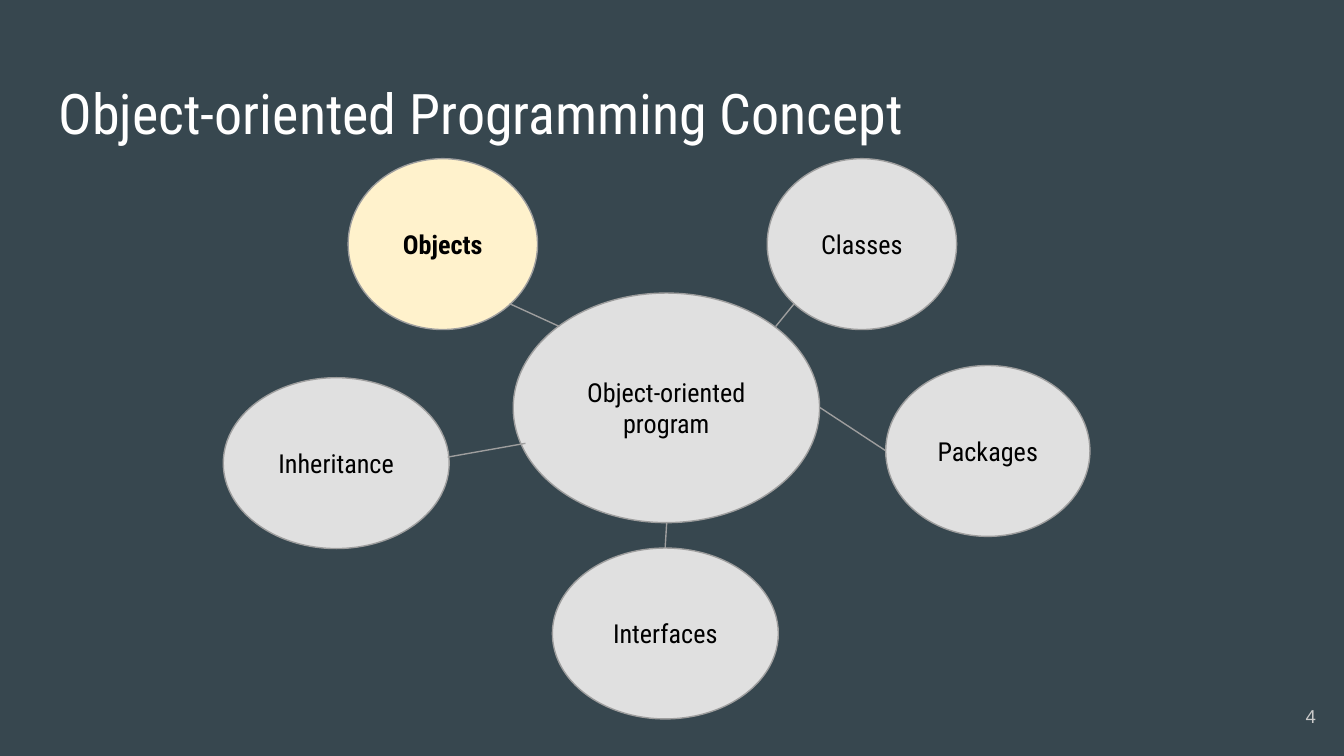
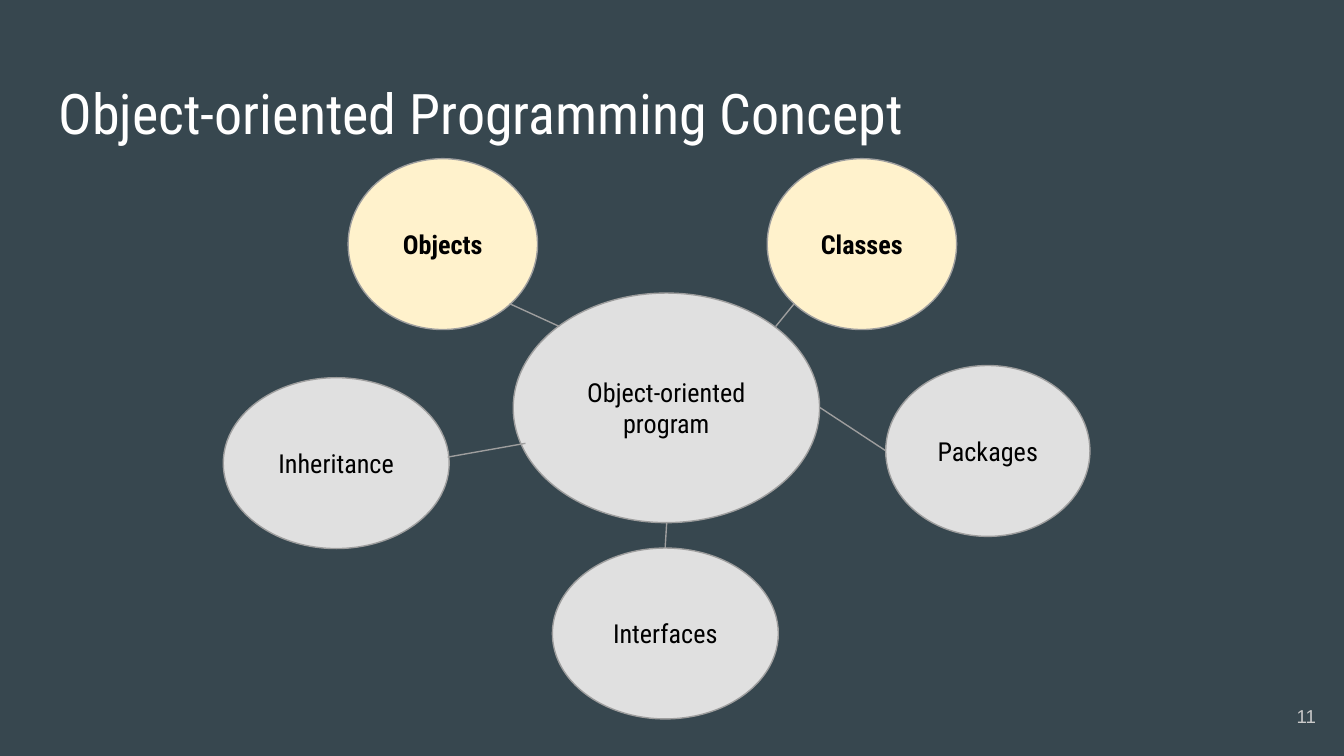
"""Build the object-oriented programming concept maps."""
import pptx
import pptx.dml.color
import pptx.enum.shapes
import pptx.enum.text
import pptx.oxml.ns
import pptx.util
from lxml import etree

Cm, Pt = pptx.util.Cm, pptx.util.Pt
ALIGN = pptx.enum.text.PP_ALIGN
ANCHOR = pptx.enum.text.MSO_ANCHOR

FONT = "Roboto Condensed"
BACKGROUND, WHITE, BLACK = "37474F", "FFFFFF", "000000"
GREY, HIGHLIGHT, OUTLINE, NUMBER = "E0E0E0", "FFF2CC", "9E9E9E", "CACACA"
TITLE = "Object-oriented Programming Concept"

BUBBLE_H = 3.23
BUBBLES = {
    "Object-oriented program": (9.7, 5.54, 5.79, 4.34),
    "Objects": (6.58, 3, 3.58, BUBBLE_H),
    "Inheritance": (4.22, 7.14, 4.27, BUBBLE_H),
    "Classes": (14.5, 3, 3.58, BUBBLE_H),
    "Packages": (16.74, 6.91, 3.86, BUBBLE_H),
    "Interfaces": (10.44, 10.36, 4.27, BUBBLE_H),
}
SPOKES = [
    (9.63, 5.74, 10.57, 6.17),
    (8.46, 8.64, 9.93, 8.38),
    (12.57, 10.36, 12.6, 9.88),
    (15.01, 5.74, 14.66, 6.17),
    (16.74, 8.52, 15.49, 7.7),
]
SLIDES = [("4", {"Objects"}), ("11", {"Objects", "Classes"})]


def rgb(value):
    """Return the colour of a hex string."""
    return pptx.dml.color.RGBColor.from_string(value)


def write(sp, text, size, color, align, anchor, font=FONT, bold=False):
    """Put one styled paragraph into a shape."""
    tf = sp.text_frame
    tf.word_wrap = True
    tf.vertical_anchor = anchor
    tf.margin_left = tf.margin_right = tf.margin_top = tf.margin_bottom = Cm(0.25)
    p = tf.paragraphs[0]
    p.text = text
    p.alignment = align
    p.font.name, p.font.size, p.font.bold = font, Pt(size), bold
    p.font.color.rgb = rgb(color)


def add_text(slide, box, *args, **style):
    """Add a text box."""
    write(slide.shapes.add_textbox(*map(Cm, box)), *args, **style)


def add_bubble(slide, box, text, active):
    """Add a concept bubble, highlighted when active."""
    kind = pptx.enum.shapes.MSO_SHAPE.FLOWCHART_CONNECTOR
    sp = slide.shapes.add_shape(kind, *map(Cm, box))
    sp.shadow.inherit = False
    sp.fill.solid()
    sp.fill.fore_color.rgb = rgb(HIGHLIGHT if active else GREY)
    sp.line.color.rgb = rgb(OUTLINE)
    sp.line.width = Pt(0.75)
    write(sp, text, 14, BLACK, ALIGN.CENTER, ANCHOR.MIDDLE, bold=active)


def add_spoke(slide, ends):
    """Add a thin line between a concept and the hub."""
    kind = pptx.enum.shapes.MSO_CONNECTOR.STRAIGHT
    line = slide.shapes.add_connector(kind, *map(Cm, ends))
    line.line.color.rgb = rgb(OUTLINE)
    line.line.width = Pt(0.75)
    etree.SubElement(line._element.spPr, pptx.oxml.ns.qn("a:effectLst"))


def add_concept_slide(prs, number, active):
    """Add a concept map with the active concepts highlighted."""
    slide = prs.slides.add_slide(prs.slide_layouts[6])
    add_text(slide, (0.86, 1.24, 23.67, 1.6), TITLE, 30, WHITE, ALIGN.LEFT, ANCHOR.TOP)
    for text, box in BUBBLES.items():
        add_bubble(slide, box, text, text in active)
    for ends in SPOKES:
        add_spoke(slide, ends)
    add_text(slide, (23.6, 13, 1.52, 1.09), number, 10, NUMBER,
             ALIGN.RIGHT, ANCHOR.MIDDLE, font="Arial")


def main():
    """Build and save the presentation."""
    prs = pptx.Presentation()
    prs.slide_width, prs.slide_height = Cm(25.4), Cm(14.29)
    fill = prs.slide_master.background.fill
    fill.solid()
    fill.fore_color.rgb = rgb(BACKGROUND)
    for number, active in SLIDES:
        add_concept_slide(prs, number, active)
    prs.save("out.pptx")


if __name__ == "__main__":
    main()
